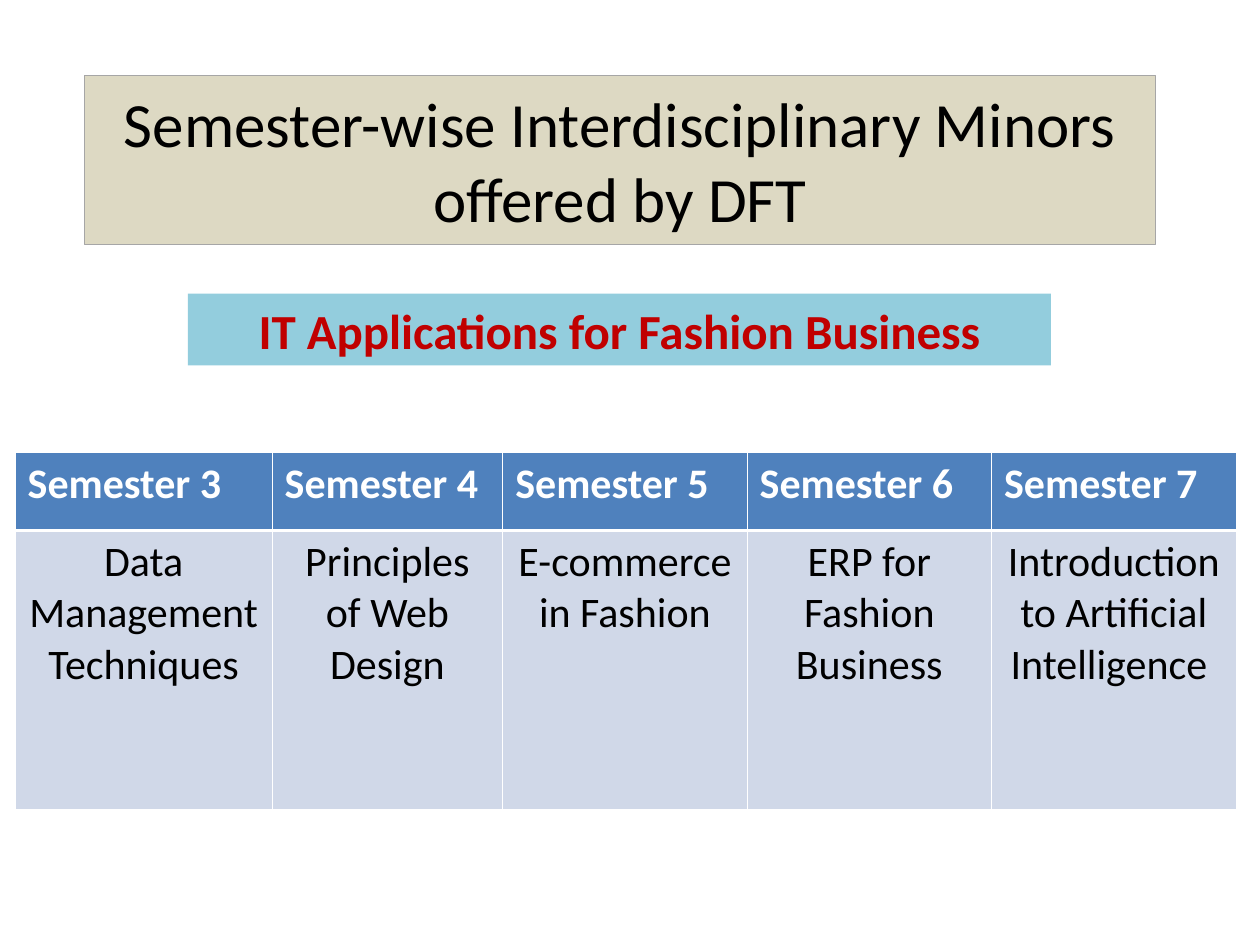
from lxml.etree import SubElement
from pptx import Presentation
from pptx.dml.color import RGBColor
from pptx.enum.shapes import MSO_SHAPE
from pptx.enum.text import MSO_ANCHOR, PP_ALIGN
from pptx.oxml.ns import qn
from pptx.util import Inches, Pt

BLACK = RGBColor(0x00, 0x00, 0x00)
WHITE = RGBColor(0xFF, 0xFF, 0xFF)
RED = RGBColor(0xC0, 0x00, 0x00)
TAN = RGBColor(0xDD, 0xD9, 0xC3)
GREY = RGBColor(0xA6, 0xA6, 0xA6)
AQUA = RGBColor(0x93, 0xCD, 0xDD)
BLUE = RGBColor(0x4F, 0x81, 0xBD)
PALE_BLUE = RGBColor(0xD0, 0xD8, 0xE8)

THIN, THICK = Pt(0.45), Pt(1.47)

MINORS = {
    "Semester 3": "Data Management Techniques",
    "Semester 4": "Principles of Web Design",
    "Semester 5": "E-commerce in Fashion",
    "Semester 6": "ERP for Fashion Business",
    "Semester 7": "Introduction to Artificial Intelligence ",
}
COLUMN_WIDTHS = [2.04, 1.83, 1.94, 1.94, 1.94]
ROW_HEIGHTS = [0.62, 2.21]


def write_text(text_frame, text, align, color, size, bold=False):
    paragraph = text_frame.paragraphs[0]
    paragraph.text = text
    paragraph.alignment = align
    font = paragraph.runs[0].font
    font_format = {"name": "Calibri", "size": Pt(size), "bold": bold}
    for attribute, value in font_format.items():
        setattr(font, attribute, value)
    font.color.rgb = color


def add_banner(slide, text, left, top, width, height, fill, color, size,
               bold=False, outline=None):
    banner = slide.shapes.add_shape(
        MSO_SHAPE.RECTANGLE,
        Inches(left), Inches(top), Inches(width), Inches(height))
    banner.shadow.inherit = False
    banner.fill.solid()
    banner.fill.fore_color.rgb = fill
    if outline is None:
        banner.line.fill.background()
    else:
        banner.line.color.rgb = outline
        banner.line.width = Pt(0.75)
    banner.text_frame.word_wrap = True
    banner.text_frame.vertical_anchor = MSO_ANCHOR.MIDDLE
    write_text(banner.text_frame, text, PP_ALIGN.CENTER, color, size, bold)


def set_borders(cell, top, bottom):
    """Give the cell white borders, thin at the sides."""
    properties = cell._tc.get_or_add_tcPr()
    widths = {"a:lnL": THIN, "a:lnR": THIN, "a:lnT": top, "a:lnB": bottom}
    for tag, width in widths.items():
        border = SubElement(properties, qn(tag), w=str(int(width)))
        fill = SubElement(border, qn("a:solidFill"))
        SubElement(fill, qn("a:srgbClr"), val=str(WHITE))


def fill_cell(cell, text, fill, align, color, bold, top, bottom):
    set_borders(cell, top, bottom)
    cell.fill.solid()
    cell.fill.fore_color.rgb = fill
    write_text(cell.text_frame, text, align, color, 24, bold)


def add_minors_table(slide):
    table = slide.shapes.add_table(
        len(ROW_HEIGHTS), len(COLUMN_WIDTHS), Inches(0.12), Inches(3.59),
        Inches(sum(COLUMN_WIDTHS)), Inches(sum(ROW_HEIGHTS))).table
    for row, height in zip(table.rows, ROW_HEIGHTS):
        row.height = Inches(height)
    for column, width in zip(table.columns, COLUMN_WIDTHS):
        column.width = Inches(width)
    for index, (semester, minor) in enumerate(MINORS.items()):
        fill_cell(table.cell(0, index), semester, BLUE, PP_ALIGN.LEFT,
                  WHITE, True, THIN, THICK)
        fill_cell(table.cell(1, index), minor, PALE_BLUE, PP_ALIGN.CENTER,
                  BLACK, False, THICK, THIN)


def main():
    presentation = Presentation()
    presentation.slide_width = Inches(10)
    presentation.slide_height = Inches(7.5)
    slide = presentation.slides.add_slide(presentation.slide_layouts[6])
    add_banner(slide, "Semester-wise Interdisciplinary Minors offered by DFT",
               0.67, 0.6, 8.5, 1.34, TAN, BLACK, 36, outline=GREY)
    add_banner(slide, "IT Applications for Fashion Business",
               1.49, 2.33, 6.85, 0.57, AQUA, RED, 28, bold=True)
    add_minors_table(slide)
    presentation.save("out.pptx")


if __name__ == "__main__":
    main()
